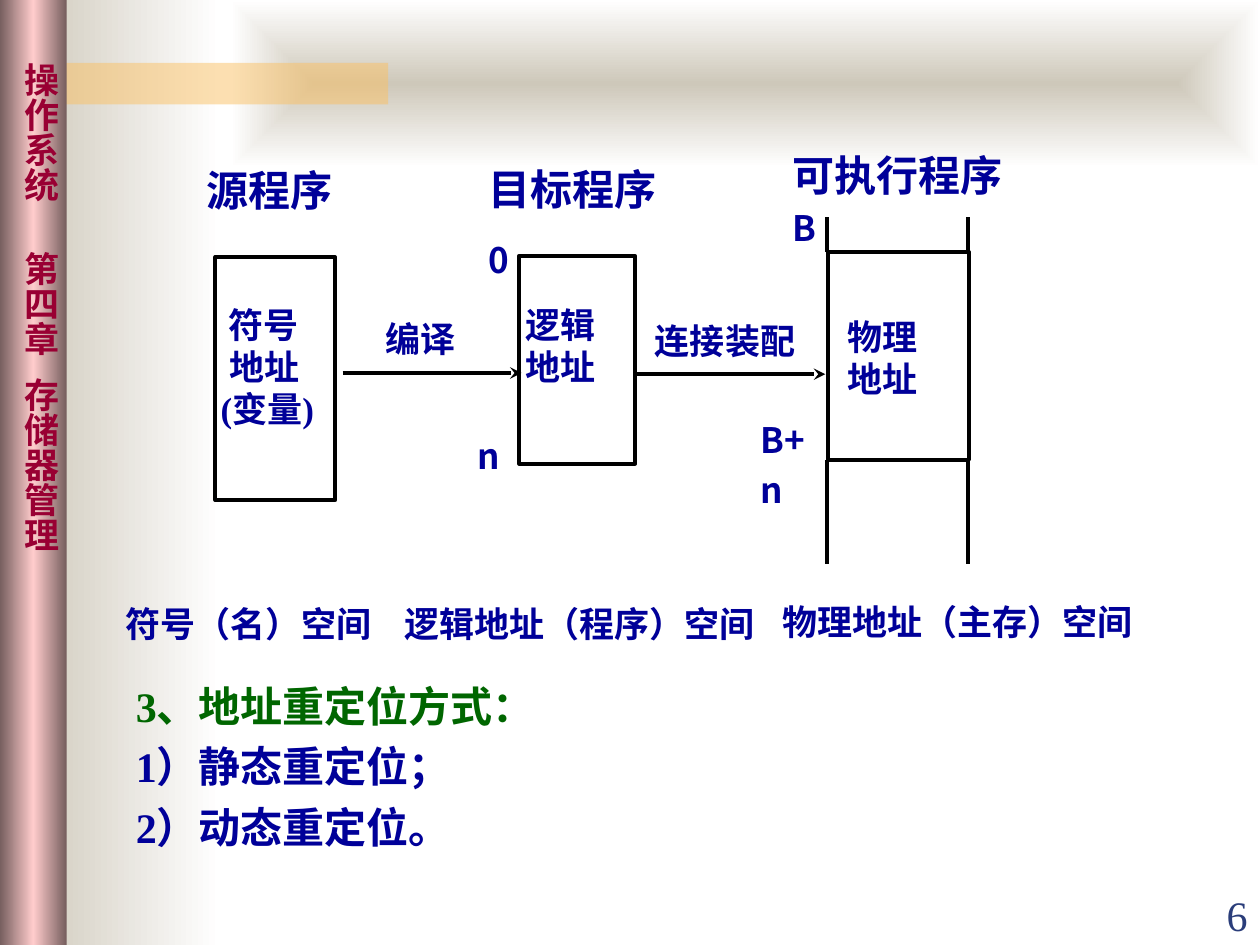
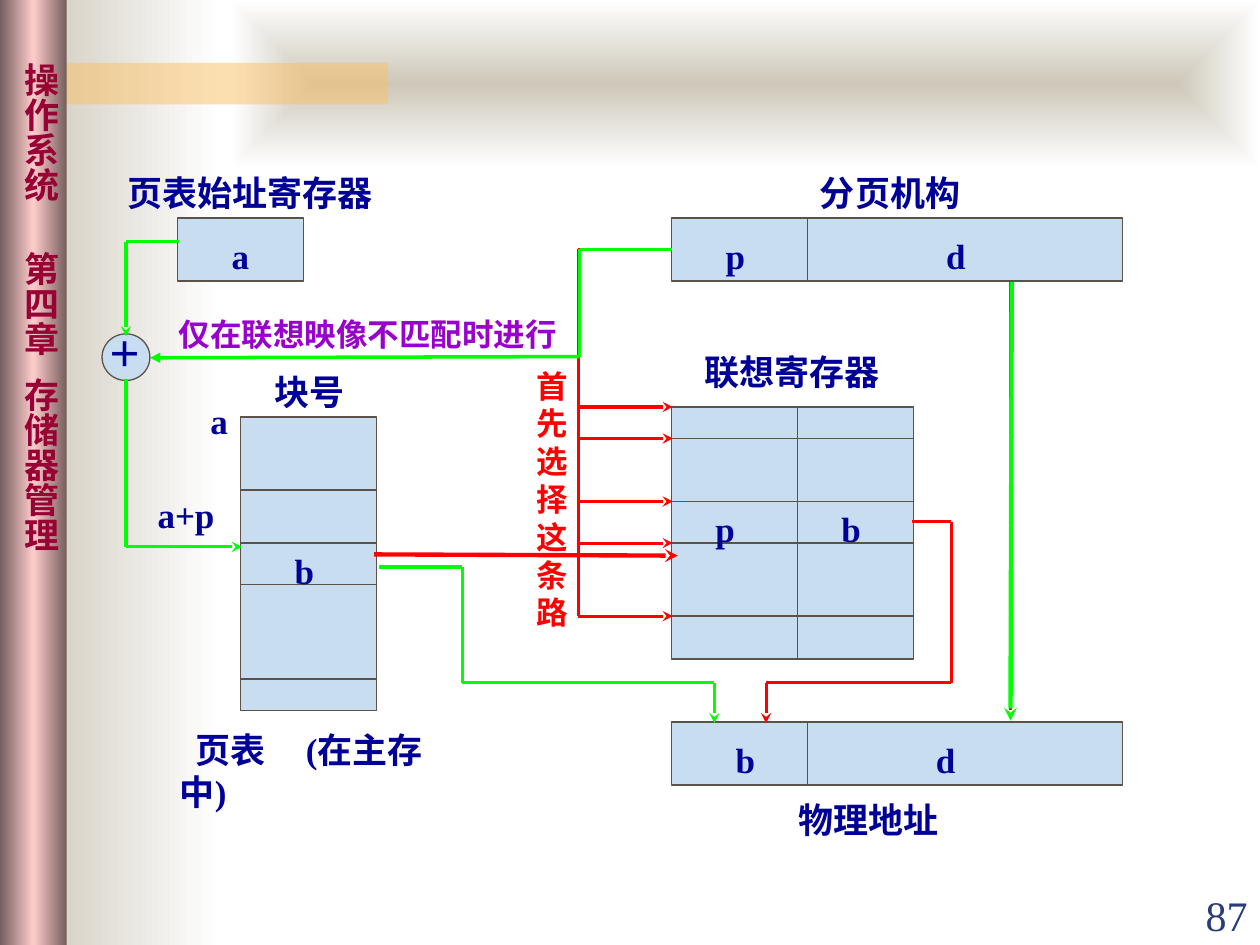
from dataclasses import dataclass

from lxml.etree import SubElement
from pptx import Presentation
from pptx.dml.color import RGBColor
from pptx.enum.shapes import MSO_CONNECTOR as Connector, MSO_SHAPE as Preset
from pptx.enum.text import MSO_ANCHOR as Anchor, PP_ALIGN as Align
from pptx.oxml.ns import qn
from pptx.util import Inches, Pt


@dataclass(frozen=True)
class Theme:
    navy: str = "000099"
    heading_green: str = "006600"
    purple: str = "9900CC"
    crimson: str = "990033"
    number: str = "2A3D7A"
    red: str = "FF0000"
    green: str = "00FF00"
    black: str = "000000"
    white: str = "FFFFFF"
    block: str = "C9DDF1"
    outline: str = "5B5249"
    sand: str = "CEC8BA"
    orange: str = "FAC164"
    pillar_edge: str = "765E5E"
    pillar_middle: str = "FFCCCC"
    serif: str = "Times New Roman"
    sans: str = "Noto Sans CJK SC"
    large: int = 24
    normal: int = 20
    small: int = 18
    leading: float = 1.2


THEME = Theme()
SIDE, TOP = 0.1, 0.05  # default text insets, in inches

# ---- Content: shared frame ----
SIDEBAR_TEXT = "\t操作系统\t第四章\t存储器管理"
SIDEBAR_TABS = (1.04, 2.91, 3.88)

# ---- Content: from source program to executable ----
PROGRAM_BOXES = [  # place, top inset, lines with their indents, font
    ((1.71, 2.04, 0.95, 1.93), 0.37, [("符号", 0.1), ("地址", 0.11), ("(变量)", 0.04)], THEME.serif),
    ((4.12, 2.03, 0.92, 1.65), 0.38, [("逻辑", 0.05), ("地址", 0.05)], THEME.sans),
    ((6.57, 2, 1.12, 1.65), 0.5, [("物理", 0.16), ("地址", 0.16)], THEME.sans),
]
MEMORY_SIDES = (6.56, 7.68)
MEMORY_ENDS = ((2, 1.72), (3.65, 4.48))
PROGRAM_ARROWS = [((2.72, 2.96), (4.14, 2.96)), ((5.03, 2.97), (6.55, 2.97))]
PROGRAM_TITLES = [("源程序", 1.54, 1.26, 1.25), ("目标程序", 3.78, 1.25, 1.67),
                  ("可执行程序", 6.19, 1.14, 1.95)]
ADDRESS_LIMITS = [("0", 3.78, 1.84, 0.4), ("n", 3.69, 3.4, 0.42), ("B", 6.19, 1.59, 0.42)]
STEPS_AND_SPACES = [
    ("编译", 2.96, 2.47, 0.9), ("连接装配", 5.1, 2.49, 1.4),
    ("符号（名）空间", 0.9, 4.73, 2.3), ("逻辑地址（程序）空间", 3.11, 4.73, 3.1),
    ("物理地址（主存）空间", 6.11, 4.72, 3.1),
]
RELOCATION = [("3、地址重定位方式：", THEME.heading_green),
              ("1）静态重定位；", THEME.navy), ("2）动态重定位。", THEME.navy)]

# ---- Content: paging with associative registers ----
PAGING_UNIT = (5.33, 1.73, 3.58, 0.5)
ASSOCIATIVE_ROWS = (3.48, 3.98, 4.31, 4.89)
ASSOCIATIVE_TOP = 3.23
PAGING_BLOCKS = {  # place, row dividers, column dividers
    "table start": ((1.41, 1.73, 1, 0.5), (), ()),
    "page table": ((1.91, 3.31, 1.08, 2.33), (3.89, 4.31, 4.64, 5.39), ()),
    "paging unit": (PAGING_UNIT, (), (6.41,)),
    "associative": ((5.33, ASSOCIATIVE_TOP, 1.92, 2), ASSOCIATIVE_ROWS, (6.33,)),
    "physical address": ((5.33, 5.73, 3.58, 0.5), (), (6.41,)),
}
PAGING_LABELS = [
    ("页表始址寄存器", 0.91, 1.31, 2.25), ("分页机构", 6.41, 1.31, 1.4),
    ("联想寄存器", 5.49, 2.73, 1.67), ("块号", 2.08, 2.89, 0.92), ("物理地址", 6.24, 6.29, 1.67),
    ("a", 1.74, 1.81, 0.42), ("p", 5.66, 1.81, 0.42), ("d", 7.41, 1.81, 0.42),
    ("b", 5.74, 5.81, 0.42), ("d", 7.33, 5.81, 0.42), ("b", 2.24, 4.31, 0.42),
    ("p", 5.58, 3.98, 0.42), ("b", 6.58, 3.98, 0.42),
]
TIGHT_LABELS = [("a", 1.67, 3.17, 0.2), ("a+p", 1.25, 3.92, 0.59), ("＋", 0.85, 2.64, 0.3)]
ADDER = (0.81, 2.65, 0.38, 0.37)
BUS_X, BUS_TOP = 4.59, 1.98
ROUTES = [  # points, colour, width; the arrowhead is on the last point
    ([(8.02, 2.23), (8.02, 5.71)], THEME.red, 1.75),
    ([(8.03, 2.24), (8.02, 5.72)], THEME.green, 2.5),
    ([(7.24, 4.14), (7.55, 4.14), (7.55, 5.42), (6.08, 5.42), (6.08, 5.74)], THEME.red, 1.75),
    ([(3.01, 4.5), (3.67, 4.5), (3.67, 5.42), (5.67, 5.42), (5.67, 5.74)], THEME.green, 1.75),
    ([(1.42, 1.92), (1, 1.92), (1, 2.67)], THEME.green, 1.75),
    ([(1, 3.01), (1, 4.34), (1.92, 4.34)], THEME.green, 1.75),
    ([(2.97, 4.4), (5.38, 4.41)], THEME.red, 2.5),
]


def add_block(slide, place, fill=None, line=None, width=0.75, preset=Preset.RECTANGLE):
    shape = slide.shapes.add_shape(preset, *map(Inches, place))
    shape.shadow.inherit = False
    if fill:
        shape.fill.solid()
        shape.fill.fore_color.rgb = RGBColor.from_string(fill)
    if line:
        shape.line.color.rgb = RGBColor.from_string(line)
        shape.line.width = Pt(width)
    else:
        shape.line.fill.background()
    return shape


def add_gradient(shape, colours, from_centre=False):
    """Fill with evenly spaced colours, left to right or from the centre out."""
    shape.fill.gradient()
    gradient = shape._element.spPr.find(qn("a:gradFill"))
    for child in list(gradient):
        gradient.remove(child)
    stops = SubElement(gradient, qn("a:gsLst"))
    for index, colour in enumerate(colours):
        position = 100000 * index // (len(colours) - 1)
        stop = SubElement(stops, qn("a:gs"), pos=str(position))
        SubElement(stop, qn("a:srgbClr"), val=colour)
    if from_centre:
        centre = SubElement(gradient, qn("a:path"), path="shape")
        SubElement(centre, qn("a:fillToRect"), {side: "50000" for side in "ltrb"})
    else:
        SubElement(gradient, qn("a:lin"), ang="0", scaled="0")


def set_frame(frame, left=SIDE, top=TOP, right=SIDE, bottom=TOP, anchor=Anchor.TOP):
    settings = {"margin_left": Inches(left), "margin_top": Inches(top),
                "margin_right": Inches(right), "margin_bottom": Inches(bottom),
                "word_wrap": True, "vertical_anchor": anchor}
    for name, value in settings.items():
        setattr(frame, name, value)
    return frame


def write(paragraph, text, size=THEME.normal, colour=THEME.navy, font=THEME.serif, bold=True,
          leading=THEME.leading, align=Align.LEFT, left=0, first=0, tabs=()):
    """Add one run; left is the indent of all lines, first that of the first line."""
    properties = paragraph._p.get_or_add_pPr()
    properties.set("marL", str(Inches(left)))
    properties.set("indent", str(Inches(first)))
    if tabs:
        tab_list = SubElement(properties, qn("a:tabLst"))
        for tab in tabs:
            SubElement(tab_list, qn("a:tab"), pos=str(Inches(tab)), algn="l")
    paragraph.alignment = align
    paragraph.line_spacing = Pt(round(size * leading, 1))
    run = paragraph.add_run()
    run.text = text
    for name, value in {"size": Pt(size), "bold": bold, "name": font}.items():
        setattr(run.font, name, value)
    run.font.color.rgb = RGBColor.from_string(colour)
    SubElement(run._r.get_or_add_rPr(), qn("a:ea"), typeface=THEME.sans)


def next_paragraph(frame, index):
    return frame.paragraphs[0] if index == 0 else frame.add_paragraph()


def add_label(slide, text, left, top, width, lines=1, inset=True, **style):
    side, edge = (SIDE, TOP) if inset else (0, 0)
    size = style.get("size", THEME.normal)
    leading = style.get("leading", THEME.leading)
    height = round(lines * size * leading / 72 + 2 * edge, 2)
    box = slide.shapes.add_textbox(*map(Inches, (left, top, width, height)))
    frame = set_frame(box.text_frame, side, edge, side, edge)
    write(frame.paragraphs[0], text, **style)


def add_line(slide, start, end, colour, width, head=None):
    line = slide.shapes.add_connector(Connector.STRAIGHT, *map(Inches, (*start, *end)))
    line.line.color.rgb = RGBColor.from_string(colour)
    line.line.width = Pt(width)
    if head:
        SubElement(line.line._get_or_add_ln(), qn("a:tailEnd"), type=head)
    SubElement(line._element.spPr, qn("a:effectLst"))
    return line


def add_route(slide, points, colour, width, head="stealth"):
    """Draw a line through the points and return its first segment."""
    last = len(points) - 2
    segments = [add_line(slide, start, end, colour, width, head if index == last else None)
                for index, (start, end) in enumerate(zip(points, points[1:]))]
    return segments[0]


def add_slide(presentation, number):
    """Add a slide with the gradient bands, sidebar and page number."""
    slide = presentation.slides.add_slide(presentation.slide_layouts[6])
    add_gradient(add_block(slide, (0.17, 0, 1.58, 7.5)), [THEME.sand, THEME.white])
    add_gradient(add_block(slide, (1.83, 0, 8.17, 1.33)), [THEME.sand, THEME.white], True)

    accent = add_block(slide, (0.33, 0.5, 2.75, 0.33), THEME.orange)
    colour = accent._element.spPr.find(qn("a:solidFill")).find(qn("a:srgbClr"))
    SubElement(colour, qn("a:alpha"), val="50000")

    sidebar = add_block(slide, (0, 0, 0.53, 7.5))
    add_gradient(sidebar, [THEME.pillar_edge, THEME.pillar_middle, THEME.pillar_edge])
    frame = set_frame(sidebar.text_frame, 0.11, 0, 0, 0, Anchor.MIDDLE)
    frame._txBody.bodyPr.set("vert", "eaVert")
    write(frame.paragraphs[0], SIDEBAR_TEXT, colour=THEME.crimson, font=THEME.sans,
          tabs=SIDEBAR_TABS)

    add_label(slide, number, 9, 7.01, 1, size=THEME.large, colour=THEME.number, bold=False,
              align=Align.RIGHT)
    return slide


def build_program_slide(presentation):
    slide = add_slide(presentation, "6")
    for place, top, lines, font in PROGRAM_BOXES:
        box = add_block(slide, place, THEME.white, THEME.black, 2.25)
        frame = set_frame(box.text_frame, 0, top, 0)
        for index, (text, indent) in enumerate(lines):
            write(next_paragraph(frame, index), text, font=font, left=indent)
    for x in MEMORY_SIDES:
        for start, end in MEMORY_ENDS:
            add_line(slide, (x, start), (x, end), THEME.black, 2.25)
    for points in PROGRAM_ARROWS:
        add_route(slide, points, THEME.black, 2.25)

    for label in PROGRAM_TITLES:
        add_label(slide, *label, size=THEME.large, font=THEME.sans)
    for label in ADDRESS_LIMITS:
        add_label(slide, *label, font=THEME.sans)
    add_label(slide, "B+n", 5.94, 3.2, 0.67, lines=2, font=THEME.sans, leading=1.45)
    for label in STEPS_AND_SPACES:
        add_label(slide, *label)

    body = slide.shapes.add_textbox(*map(Inches, (0.98, 5.27, 5, 1.54)))
    frame = set_frame(body.text_frame)
    for index, (text, colour) in enumerate(RELOCATION):
        write(next_paragraph(frame, index), text, THEME.large, colour,
              leading=THEME.leading ** 2)


def build_paging_slide(presentation):
    slide = add_slide(presentation, "87")
    blocks = {}
    for name, (place, rows, columns) in PAGING_BLOCKS.items():
        blocks[name] = add_block(slide, place, THEME.block, THEME.outline)
        left, top, width, height = place
        for y in rows:
            add_line(slide, (left, y), (left + width, y), THEME.outline, 0.75)
        for x in columns:
            add_line(slide, (x, top), (x, top + height), THEME.outline, 0.75)
    add_block(slide, ADDER, THEME.block, THEME.outline, preset=Preset.OVAL)

    for route in ROUTES:
        add_route(slide, *route)
    port = (PAGING_UNIT[0], BUS_TOP)
    lookup = add_route(slide, [port, (BUS_X, BUS_TOP), (BUS_X, ASSOCIATIVE_ROWS[-1])],
                       THEME.red, 2, None)
    for y in (ASSOCIATIVE_TOP, *ASSOCIATIVE_ROWS):
        add_route(slide, [(BUS_X, y), (5.34, y)], THEME.red, 1.75)
    fallback = add_route(slide, [port, (4.6, BUS_TOP), (4.6, 2.83), (1.19, 2.84)],
                         THEME.green, 2, "triangle")
    for segment in (lookup, fallback):
        segment.begin_connect(blocks["paging unit"], 1)

    for label in PAGING_LABELS:
        add_label(slide, *label)
    for label in TIGHT_LABELS:
        add_label(slide, *label, inset=False)
    add_label(slide, "页表\t(在主存中)", 1.33, 5.73, 2.2, lines=2, first=0.12, tabs=(0.93,))
    add_label(slide, "仅在联想映像不匹配时进行", 1.42, 2.5, 3.08, inset=False,
              size=THEME.small, colour=THEME.purple)
    add_label(slide, "首先选择这条路", 4.26, 2.91, 0.27, lines=7, inset=False,
              size=THEME.small, colour=THEME.red)


def main():
    presentation = Presentation()
    presentation.slide_width, presentation.slide_height = Inches(10), Inches(7.5)
    build_program_slide(presentation)
    build_paging_slide(presentation)
    presentation.save("out.pptx")


if __name__ == "__main__":
    main()
